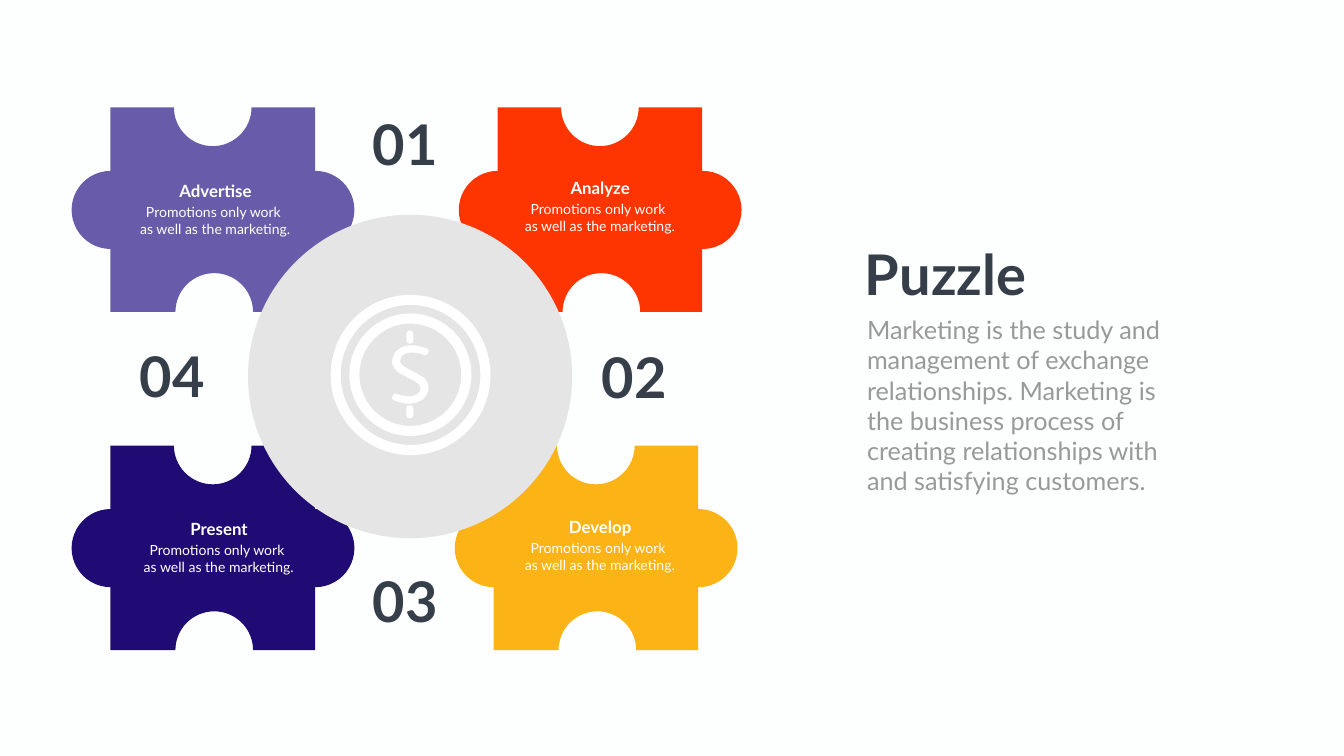
import math

from pptx import Presentation
from pptx import util as u
from pptx.dml.color import RGBColor
from pptx.enum import shapes, text

PX = u.Inches(1) // 100
SHAPE = shapes.MSO_SHAPE
SIDE, RADIUS, STEPS = 406, 77, 32
INK, WHITE = "353E49", "FFFFFF"

deck = Presentation()
deck.slide_width, deck.slide_height = 2666 * PX, 1500 * PX
page = deck.slides.add_slide(deck.slide_layouts[6])
page.background.fill.solid()
page.background.fill.fore_color.rgb = RGBColor.from_string("FDFFFE")


def add_form(color, outline, box=None):
    """Fill a preset shape placed in box or, without a box, a polygon of points."""
    if box:
        form = page.shapes.add_shape(outline, *(v * PX for v in box))
    else:
        points = [(x * PX, y * PX) for x, y in outline]
        builder = page.shapes.build_freeform(*points[0], scale=1.0)
        builder.add_line_segments(points[1:], close=True)
        form = builder.convert_to_shape()
    form.shadow.inherit = False
    form.fill.solid()
    form.fill.fore_color.rgb = RGBColor.from_string(color)
    form.line.fill.background()
    return form


def add_text(words, left, top, width, height, size, color, bold=False, wrap=True,
             align=text.PP_ALIGN.LEFT):
    box = page.shapes.add_textbox(left * PX, top * PX, width * PX, height * PX)
    frame = box.text_frame
    frame.text = words
    frame.word_wrap = wrap
    frame.auto_size = text.MSO_AUTO_SIZE.SHAPE_TO_FIT_TEXT
    for para in frame.paragraphs:
        para.alignment = align
        for span in para.runs:
            for name, value in {"name": "Lato", "size": u.Pt(size), "bold": bold}.items():
                setattr(span.font, name, value)
            span.font.color.rgb = RGBColor.from_string(color)


# Heading, colour, piece left and top, heading left and top
pieces = [
    ("Advertise", "685BA9", 219, 213, 321, 354),
    ("Analyze", "FE3500", 987, 213, 1084, 348),
    ("Develop", "FCB315", 979, 884, 1084, 1020),
    ("Present", "1F0B73", 219, 884, 328, 1025),
]
angles = [math.pi * i / STEPS for i in range(STEPS + 1)]

# Puzzle pieces: two round tabs and a square with two round notches
for heading, color, left, top, _, _ in pieces:
    right, bottom = left + SIDE, top + SIDE
    for edge in (left, right):
        add_form(color, SHAPE.OVAL, (edge - RADIUS, top + 126, 2 * RADIUS + 1, 2 * RADIUS + 1))
    upper = [(left + 203 - RADIUS * math.cos(a), top + RADIUS * math.sin(a)) for a in angles]
    lower = [(left + 206 + RADIUS * math.cos(a), bottom - RADIUS * math.sin(a)) for a in angles]
    add_form(color, [(left, top), *upper, (right, top), (right, bottom), *lower, (left, bottom)])

# Centre disc with a coin
add_form("E4E5E4", SHAPE.OVAL, (492, 426, 643, 642))
for left, top, size in ((656, 585, 317), (693, 622, 242)):
    ring = add_form(WHITE, SHAPE.DONUT, (left, top, size, size + 1))
    ring.adjustments[0] = 20 / size

# Dollar sign: half of the S as Bezier curves, the other half turned by 180 degrees
half_curves = [
    [(783, 795), (779, 794), (776, 790), (779, 786)],
    [(779, 786), (780, 782), (784, 781), (788, 782)],
    [(788, 782), (803, 788), (819, 788), (828, 782)],
    [(828, 782), (832, 779), (834, 774), (834, 769)],
    [(834, 769), (834, 762), (821, 755), (810, 750)],
    [(810, 750), (803, 746), (796, 742), (789, 738)],
    [(789, 738), (782, 732), (778, 725), (778, 718)],
    [(778, 718), (778, 708), (783, 697), (792, 692)],
    [(792, 692), (805, 683), (825, 683), (845, 691)],
]
half = []
for curve in half_curves:
    for i in range(12):
        t = i / 12
        weights = [math.comb(3, k) * t**k * (1 - t) ** (3 - k) for k in range(4)]
        half.append([sum(w * point[axis] for w, point in zip(weights, curve)) for axis in (0, 1)])
add_form(WHITE, half + [(2 * 814 - x, 2 * 743 - y) for x, y in half])
for top in (656, 804):
    bar = add_form(WHITE, SHAPE.ROUNDED_RECTANGLE, (806, top, 14, 26))
    bar.adjustments[0] = 0.5

# Title and body
add_text("Puzzle", 1706, 470, 347, 145, 80, INK, bold=True, wrap=False)
add_text("Marketing is the study and management of exchange relationships. "
         "Marketing is the business process of creating relationships with "
         "and satisfying customers.", 1710, 619, 645, 374, 36, "989998")

# Captions on the pieces
for heading, _, _, _, left, top in pieces:
    add_text(heading, left, top, 213, 50, 24, WHITE, bold=True, align=text.PP_ALIGN.CENTER)
    add_text("Promotions only work \nas well as the marketing.",
             left - 83, top + 45, 378, 77, 20, WHITE, align=text.PP_ALIGN.CENTER)

# Numbers between the pieces
for number, left, top in (("01", 730, 213), ("02", 1184, 674), ("03", 730, 1120), ("04", 267, 673)):
    add_text(number, left, top, 150, 145, 80, INK, bold=True, wrap=False)

deck.save("out.pptx")
